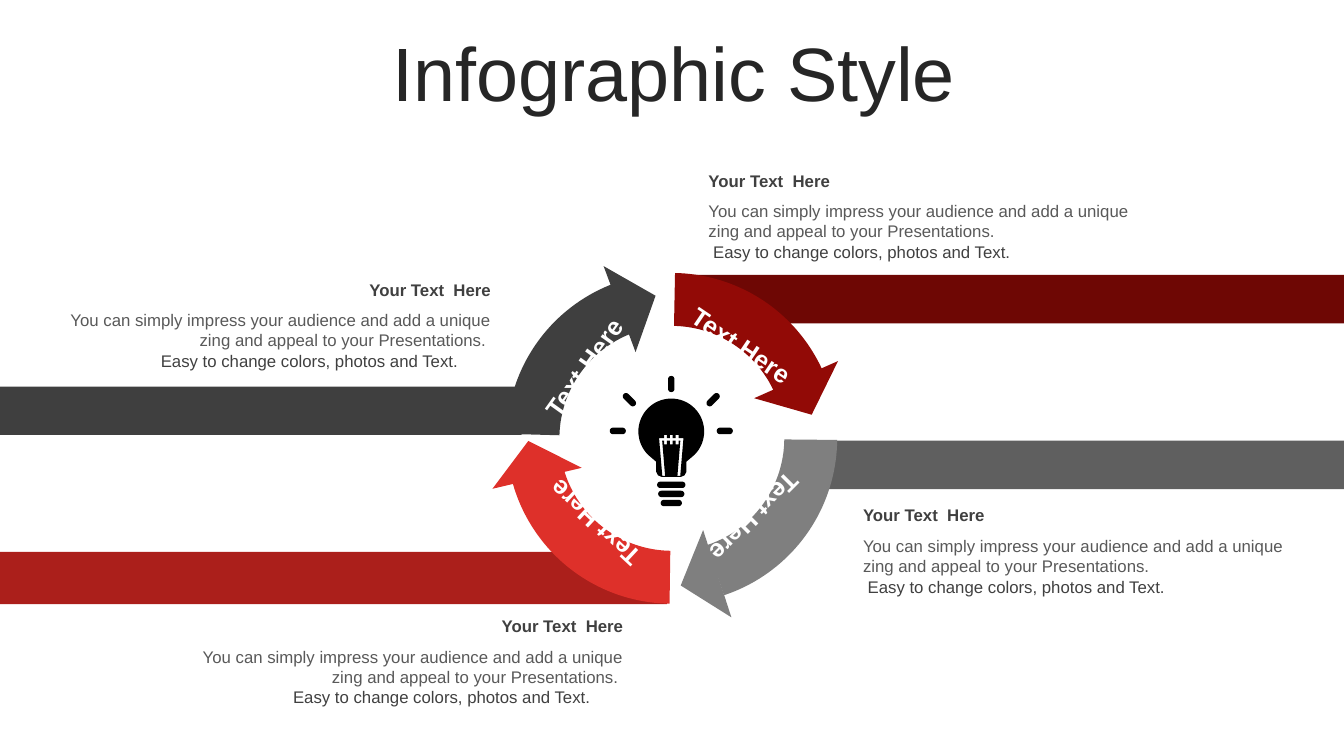
import math
from pptx import Presentation
from pptx import util as u
from pptx.dml.color import RGBColor
from pptx.enum import shapes, text

Pt = u.Pt
KIND = shapes.MSO_SHAPE
SIDE = text.PP_ALIGN

TITLE = "Infographic Style"
LABEL = "Text Here"
HEAD = "Your Text  Here"
BODY = "You can simply impress your audience and add a unique zing and appeal to your Presentations."
CLOSE = " Easy to change colors, photos and Text."

STEPS = [
    dict(color="DE302A", band="AB1F1B", bar=(0, 394.2, 476.3, 37.4), turn=180,
         span=(270.8, 346.2), label=(454.7, 342, 223.1), tip=(380.5, 328.3, 346.8)),
    dict(color="7F7F7F", band="5F5F5F", bar=(589.3, 314.8, 370.7, 34.6), turn=90,
         span=(270.57, 341.6), label=(508, 338.4, 135), tip=(499.3, 414, 252.1)),
    dict(color="920A06", band="6E0704", bar=(482.4, 196.4, 477.6, 34.6), turn=0,
         span=(271.12, 335.5), label=(505.1, 283, 34), tip=(574.2, 283.7, 156.1)),
    dict(color="3F3F3F", band="3F3F3F", bar=(0, 276.1, 372.6, 34.6), turn=270,
         span=(271.57, 339), label=(452.5, 288, 305.5), tip=(455.4, 216, 69.6)),
]
NOTES = [(36.7, 195.8, SIDE.RIGHT), (131.2, 436.3, SIDE.RIGHT),
         (499, 118.1, SIDE.LEFT), (609.4, 357.1, SIDE.LEFT)]
RING = (479.9, 313.1, 236.2, 236.2)
LINE = 14.6
MID, BULB, RAD = 479.5, 308.2, 23.5
NECK = [(10.8, 329.8), (10.8, 337), (9.5, 339.5), (7, 340.6)]
RAYS = [(-38.2, 307.8, 0), (38.2, 307.8, 0), (0, 274.3, 90),
        (29.9, 285.5, 315), (-29.9, 285.5, 45)]
BASE = [(346.3, 20.2), (352.8, 18.7), (359.3, 15.1)]
TEETH = (-4.2, 0, 4.2)

deck = Presentation()
deck.slide_width, deck.slide_height = Pt(960), Pt(540)
slide = deck.slides.add_slide(deck.slide_layouts[6])
parts = slide.shapes


def paint(shape, color):
    shape.shadow.inherit = False
    shape.fill.solid()
    shape.fill.fore_color.rgb = RGBColor.from_string(color)
    shape.line.fill.background()


def place(kind, x, y, w, h, color, turn=0):
    shape = parts.add_shape(kind, Pt(x - w / 2), Pt(y - h / 2), Pt(w), Pt(h))
    shape.rotation = turn
    paint(shape, color)
    return shape


def write(words, x, y, w, h, size, color, side=SIDE.CENTER, bold=False, space=None):
    box = parts.add_textbox(Pt(x), Pt(y), Pt(w), Pt(h))
    frame = box.text_frame
    frame.text = words
    frame.word_wrap = True
    para = frame.paragraphs[0]
    para.alignment = side
    para.line_spacing = space
    font = para.runs[0].font
    font.name, font.size, font.bold = "Arial", Pt(size), bold
    font.color.rgb = RGBColor.from_string(color)
    return box


def draw_step(step):
    x, y, w, h = step["bar"]
    place(KIND.RECTANGLE, x + w / 2, y + h / 2, w, h, step["band"])
    arc = place(KIND.BLOCK_ARC, *RING, step["color"], step["turn"])
    start, end = step["span"]
    for i, value in enumerate((start * 0.6, end * 0.6, 0.16)):
        arc.adjustments[i] = value
    x, y, turn = step["label"]
    w, h = 146.2, 116.6
    write(LABEL, x - w / 2, y - h / 2, w, h, 18, "FFFFFF", bold=True).rotation = turn
    x, y, turn = step["tip"]
    place(KIND.ISOSCELES_TRIANGLE, x, y, 65.5, 27.4, step["color"], turn)


def draw_note(x, y, side):
    w = 321.1
    right = side == SIDE.RIGHT
    write(HEAD, x, y, w, 21.6, 12, "404040", side, True, Pt(LINE))
    y += 21.6
    write(BODY + " " * right, x, y, w, 36.4, 12, "595959", side, False, Pt(LINE))
    shift = 23.3 if right else 0
    write(CLOSE, x - shift, y + 2 * LINE, w, 21.8, 12, "404040", side, False, Pt(LINE))


def curve(x, y, r, first, last, step=5):
    angles = [math.radians(a) for a in range(first, last + 1, step)]
    return [(x + r * math.cos(a), y + r * math.sin(a)) for a in angles]


def pill(x, y, w, h, turn=0):
    half = (w - h) / 2
    dx, dy = half * math.cos(math.radians(turn)), half * math.sin(math.radians(turn))
    return (curve(x + dx, y + dy, h / 2, turn - 90, turn + 90, 15)
            + curve(x - dx, y - dy, h / 2, turn + 90, turn + 270, 15))


def wire():
    top = [(-8.7, 313)]
    low = [(-6.5, 314.8)]
    for x in TEETH:
        top += [(x - 1, 313), (x - 1, 310.6), (x + 1, 310.6), (x + 1, 313)]
        low += [(x - 1, 314.8), (x - 1, 317.4), (x + 1, 317.4), (x + 1, 314.8)]
    top += [(8.7, 313), (6.4, 340), (4.4, 340), (6.5, 314.8)]
    edge = top + low[:0:-1] + low[:1] + [(-4.4, 340), (-6.4, 340)]
    return [(MID + x, y) for x, y in edge]


def draw_bulb():
    body = curve(MID, BULB, RAD, 135, 405)
    body += [(MID + x, y) for x, y in NECK]
    body += [(MID - x, y) for x, y in reversed(NECK)]
    loops = [body, wire()]
    loops += [pill(MID + x, y, 11.5, 4.6, turn) for x, y, turn in RAYS]
    loops += [pill(MID, y, w, 4.5) for y, w in BASE]
    loops = [[(x * 100, y * 100) for x, y in loop] for loop in loops]
    path = parts.build_freeform(*loops[0][0], scale=Pt(1) / 100)
    for i, loop in enumerate(loops):
        if i:
            path.move_to(*loop[0])
        path.add_line_segments(loop[1:], close=True)
    paint(path.convert_to_shape(), "000000")


title = write(TITLE, 25.6, 26.6, 911.5, 56.9, 54, "262626", space=0.9)
title.text_frame.vertical_anchor = text.MSO_ANCHOR.MIDDLE
for step in STEPS:
    draw_step(step)
draw_bulb()
for note in NOTES:
    draw_note(*note)
deck.save("out.pptx")
